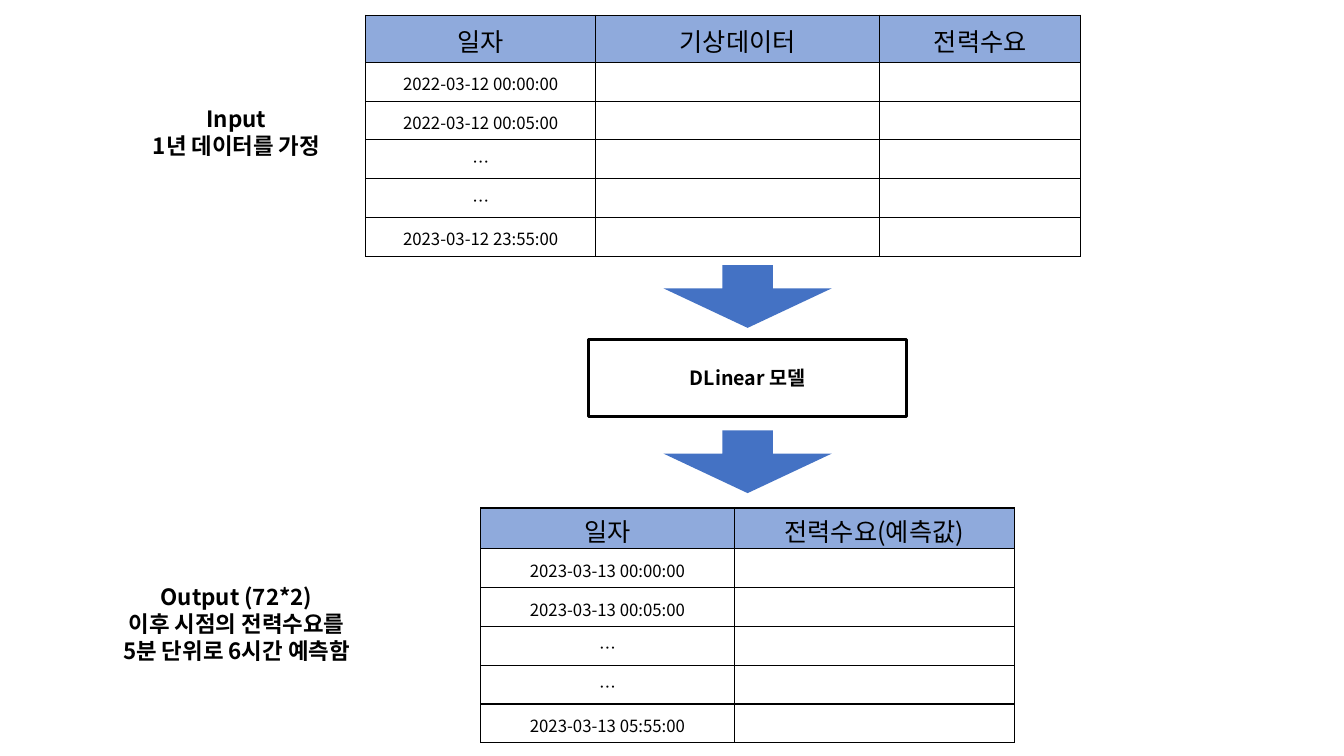
import lxml.etree
import pptx
import pptx.dml.color
import pptx.enum.shapes
import pptx.enum.text
import pptx.oxml.ns
import pptx.util

BLACK = pptx.dml.color.RGBColor(0x00, 0x00, 0x00)
BLUE = pptx.dml.color.RGBColor(0x44, 0x72, 0xC4)
PALE = pptx.dml.color.RGBColor(0x8F, 0xAA, 0xDC)
FACE = "Noto Sans CJK KR"
SHAPE = pptx.enum.shapes.MSO_SHAPE
MIDDLE = pptx.enum.text.MSO_ANCHOR.MIDDLE
CENTER = pptx.enum.text.PP_ALIGN.CENTER
Pt = pptx.util.Pt
qn = pptx.oxml.ns.qn


class Board:
    """Draws styled elements, with lengths in percent of the slide and x as a centre."""

    def __init__(self, deck):
        self.wide, self.high = deck.slide_width, deck.slide_height
        self.shapes = deck.slides.add_slide(deck.slide_layouts[6]).shapes
        self.head = {"size": Pt(18), "bold": False}
        self.body = {"size": Pt(12), "bold": False}
        self.label = {"size": Pt(16), "bold": True}
        self.model = {"size": Pt(14), "bold": True}

    def place(self, mid, top, width, height):
        wide, high = self.wide / 100, self.high / 100
        box = ((mid - width / 2) * wide, top * high, width * wide, height * high)
        return [round(side) for side in box]

    def letter(self, frame, lines, style, space=None):
        frame.word_wrap = True
        for num, line in enumerate(lines):
            par = frame.add_paragraph() if num else frame.paragraphs[0]
            par.alignment = CENTER
            par.line_spacing = space
            if not line:
                size = str(int(style["size"].pt * 100))
                lxml.etree.SubElement(par._p, qn("a:endParaRPr"), sz=size)
                continue
            run = par.add_run()
            run.text = line
            for key, value in {"name": FACE, **style}.items():
                setattr(run.font, key, value)
            run.font.color.rgb = BLACK
            lxml.etree.SubElement(run.font._element, qn("a:ea"), typeface=FACE)

    def note(self, mid, top, width, height, lines):
        box = self.shapes.add_textbox(*self.place(mid, top, width, height))
        self.letter(box.text_frame, lines, self.label, Pt(19.3))

    def arrow(self, mid, top):
        arrow = self.shapes.add_shape(SHAPE.DOWN_ARROW, *self.place(mid, top, 12.53, 8.3))
        arrow.adjustments[0], arrow.adjustments[1] = 0.3, 0.63
        arrow.shadow.inherit = False
        arrow.fill.solid()
        arrow.fill.fore_color.rgb = BLUE
        arrow.line.fill.background()

    def block(self, mid, top, width, height, text):
        block = self.shapes.add_shape(SHAPE.RECTANGLE, *self.place(mid, top, width, height))
        block.shadow.inherit = False
        block.fill.background()
        block.line.color.rgb = BLACK
        block.line.width = Pt(2.25)
        block.text_frame.vertical_anchor = MIDDLE
        self.letter(block.text_frame, [text], self.model)

    def border(self, cell):
        props = cell._tc.get_or_add_tcPr()
        for side in "LRTB":
            line = lxml.etree.SubElement(props, qn("a:ln" + side), w=str(Pt(1)))
            fill = lxml.etree.SubElement(line, qn("a:solidFill"))
            lxml.etree.SubElement(fill, qn("a:srgbClr"), val=str(BLACK))

    def table(self, mid, top, widths, first, heads, dates):
        heights = [first] + [5.13] * len(dates)
        rows = [heads] + [[date] + [""] * (len(heads) - 1) for date in dates]
        box = self.place(mid, top, sum(widths), sum(heights))
        grid = self.shapes.add_table(len(rows), len(heads), *box).table
        for col, width in zip(grid.columns, widths):
            col.width = round(width * self.wide / 100)
        for row, height, texts in zip(grid.rows, heights, rows):
            row.height = round(height * self.high / 100)
            lead = texts is heads
            for cell, text in zip(row.cells, texts):
                self.border(cell)
                cell.vertical_anchor = MIDDLE
                cell.margin_top = Pt(2.5)
                cell.margin_bottom = 0
                if lead:
                    cell.fill.solid()
                    cell.fill.fore_color.rgb = PALE
                else:
                    cell.fill.background()
                self.letter(cell.text_frame, [text], self.head if lead else self.body)


def main():
    deck = pptx.Presentation()
    deck.slide_width = pptx.util.Inches(13.33)
    deck.slide_height = pptx.util.Inches(7.5)
    board = Board(deck)
    axis, side = 55.63, 17.6
    board.table(53.82, 2, [17.1, 21.15, 14.95], 6.25,
                ["일자", "기상데이터", "전력수요"],
                ["2022-03-12 00:00:00", "2022-03-12 00:05:00", "…", "…",
                 "2023-03-12 23:55:00"])
    board.note(side, 13.2, 20.2, 8.5, ["Input", "1년 데이터를 가정"])
    board.block(axis, 44.95, 23.63, 10.13, "DLinear 모델")
    board.note(side, 76.5, 22.8, 12.1,
               ["Output (72*2)", "이후 시점의 전력수요를", "5분 단위로 6시간 예측함"])
    board.table(axis, 67.2, [18.85, 20.85], 5.4,
                ["일자", "전력수요(예측값)"],
                ["2023-03-13 00:00:00", "2023-03-13 00:05:00", "…", "…",
                 "2023-03-13 05:55:00"])
    for top in (35.07, 56.93):
        board.arrow(axis, top)
    deck.save("out.pptx")


if __name__ == "__main__":
    main()
